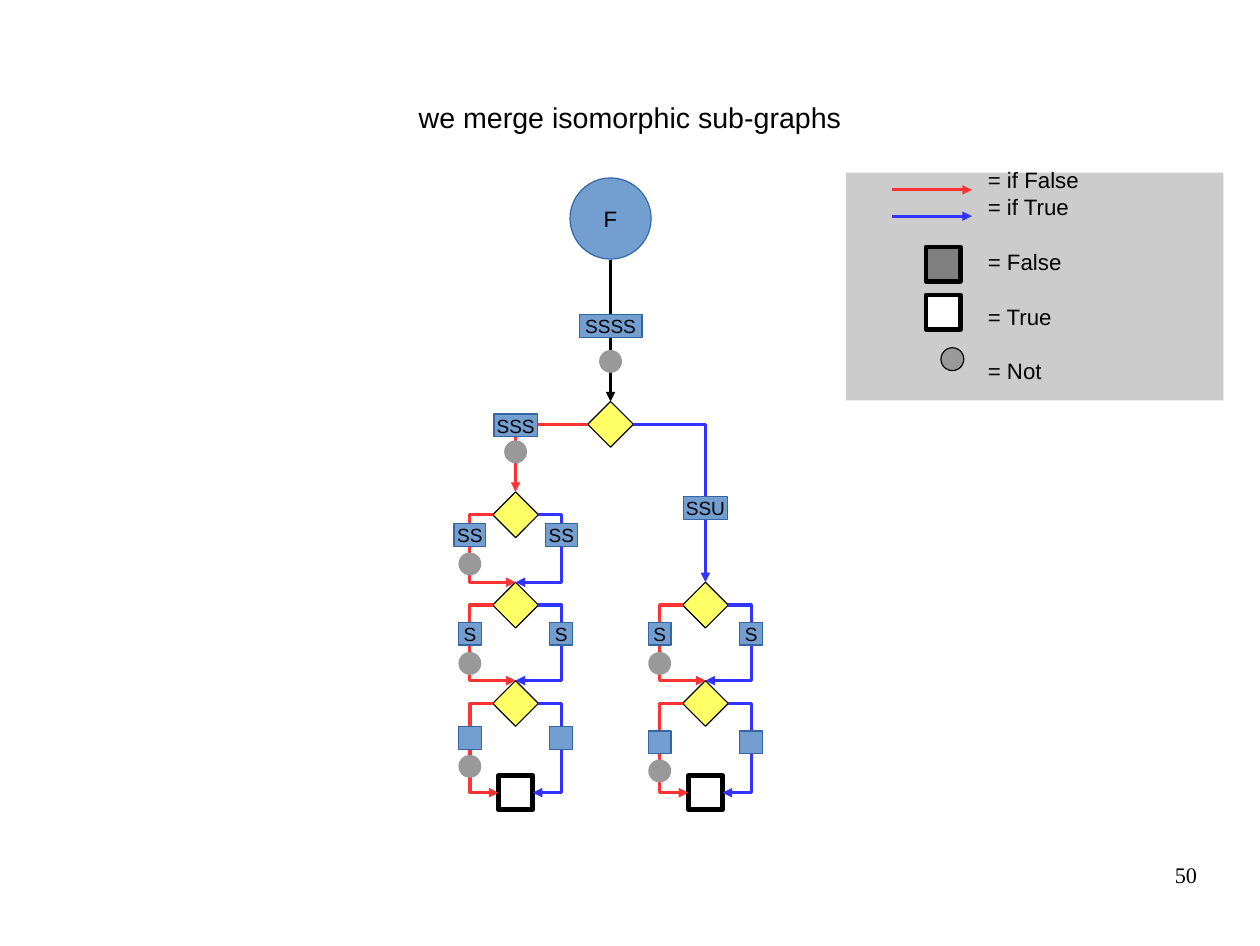
import dataclasses
import typing

import lxml.etree
import pptx
import pptx.dml.color
import pptx.enum.shapes
import pptx.enum.text
import pptx.oxml.ns
import pptx.util

RGB = pptx.dml.color.RGBColor
KIND = pptx.enum.shapes.MSO_SHAPE
WIRE = pptx.enum.shapes.MSO_CONNECTOR
ALIGN = pptx.enum.text.PP_ALIGN
ANCHOR = pptx.enum.text.MSO_ANCHOR
qn = pptx.oxml.ns.qn

BLACK = RGB(0x00, 0x00, 0x00)
WHITE = RGB(0xFF, 0xFF, 0xFF)
RED = RGB(0xFF, 0x33, 0x33)
BLUE = RGB(0x33, 0x33, 0xFF)
STEEL = RGB(0x72, 0x9F, 0xCF)
NAVY = RGB(0x34, 0x65, 0xA4)
YELLOW = RGB(0xFF, 0xFF, 0x66)
GRAY = RGB(0x99, 0x99, 0x99)
DARK = RGB(0x80, 0x80, 0x80)
PALE = RGB(0xCC, 0xCC, 0xCC)

# The grid has square cells, ten to the inch
CELL = 0.1
ROOT, LEFT, RIGHT = 53.4, 45.1, 61.7  # columns of the three stems
SIDE = 4  # from a stem to the side of a loop
HALF = 2  # from the middle of a diamond to its tip
BOX = 3
DOT = 2
WIDTHS = (2, 2, 2.8, 3.8, 5.5)  # tag width by label length


@dataclasses.dataclass
class Style:
    kind: KIND
    fill: RGB
    line: typing.Optional[RGB] = BLACK
    weight: float = 0


@dataclasses.dataclass
class Loop:
    col: float
    top: float
    foot: float
    label: str
    tag: float
    dot: float
    last: bool = False


ROUND = Style(KIND.OVAL, STEEL, NAVY)
TAG = Style(KIND.RECTANGLE, STEEL, NAVY)
TEST = Style(KIND.DIAMOND, YELLOW)
NOT = Style(KIND.OVAL, GRAY, None)
KEY_NOT = Style(KIND.OVAL, GRAY)
TRUE = Style(KIND.RECTANGLE, WHITE, BLACK, 3)
FALSE = Style(KIND.RECTANGLE, DARK, BLACK, 3)
PANEL = Style(KIND.RECTANGLE, PALE, None)

LOOPS = [
    Loop(LEFT, 45, 50.9, "SS", 46.8, 49.3),
    Loop(LEFT, 52.9, 59.5, "S", 55.4, 58),
    Loop(LEFT, 61.5, 69.3, "", 64.5, 67, True),
    Loop(RIGHT, 52.9, 59.5, "S", 55.4, 58),
    Loop(RIGHT, 61.5, 69.3, "", 64.9, 67.4, True),
]
# Legend text and the space before each line
KEYS = [("= if False", 0), ("= if True", 0.75), ("= False", 17.6),
        ("= True", 17.6), ("= Not", 17.6)]

deck = pptx.Presentation()
deck.slide_width = pptx.util.Inches(11.02)
deck.slide_height = pptx.util.Inches(8.27)
slide = deck.slides.add_slide(deck.slide_layouts[5])


def grid(cells: float) -> int:
    return pptx.util.Inches(cells * CELL)


def write(par, text: str, size: float, align: ALIGN, face: str = "Arial") -> None:
    par.text = text
    par.alignment = align
    par.font.size = pptx.util.Pt(size)
    par.font.name = face
    par.font.color.rgb = BLACK


def inset(frame, left: float = 0, base: float = 0) -> None:
    frame.margin_top = frame.margin_right = 0
    frame.margin_left, frame.margin_bottom = grid(left), grid(base)
    frame.word_wrap = True


def node(style: Style, x: float, y: float, wide: float, high: float,
         text: str = "", size: float = 12):
    """Draw a shape around its middle point."""
    shape = slide.shapes.add_shape(style.kind, grid(x - wide / 2),
                                   grid(y - high / 2), grid(wide), grid(high))
    shape.shadow.inherit = False
    shape.fill.solid()
    shape.fill.fore_color.rgb = style.fill
    if style.line is None:
        shape.line.fill.background()
    else:
        shape.line.color.rgb = style.line
        shape.line.width = pptx.util.Pt(style.weight)
    if text:
        frame = shape.text_frame
        frame.word_wrap = False
        frame.vertical_anchor = ANCHOR.MIDDLE
        write(frame.paragraphs[0], text, size, ALIGN.CENTER)
    return shape


def tag(x: float, y: float, text: str) -> None:
    node(TAG, x, y, WIDTHS[len(text)], 2, text)


def arrow(color: RGB, x: float, y: float, to_x: float, to_y: float,
          form: WIRE = WIRE.STRAIGHT):
    link = slide.shapes.add_connector(form, grid(x), grid(y), grid(to_x), grid(to_y))
    link.line.color.rgb = color
    link.line.width = pptx.util.Pt(0)
    props = link._element.spPr
    lxml.etree.SubElement(props.find(qn("a:ln")), qn("a:tailEnd"), type="triangle")
    lxml.etree.SubElement(props, qn("a:effectLst"))
    return link


def corner(color: RGB, x: float, y: float, to_x: float, to_y: float) -> None:
    """Run level, then turn once."""
    link = arrow(color, x, y, to_x, to_y, WIRE.ELBOW)
    link._element.spPr.find(qn("a:prstGeom")).set("prst", "bentConnector2")


def bend(color: RGB, x: float, y: float, to_x: float, to_y: float, via: float) -> None:
    """Run out to the column via, down, and back."""
    link = arrow(color, x, y, to_x, to_y, WIRE.ELBOW)
    share = round((via - x) / (to_x - x) * 100000)
    guides = link._element.spPr.find(qn("a:prstGeom")).get_or_add_avLst()
    lxml.etree.SubElement(guides, qn("a:gd"), name="adj1", fmla=f"val {share}")


# Title
title = slide.shapes.title
title.left, title.top, title.width, title.height = map(grid, (5.5, 3.3, 99.2, 13.8))
inset(title.text_frame)
title.text_frame.vertical_anchor = ANCHOR.MIDDLE
write(title.text_frame.paragraphs[0], "we merge isomorphic sub-graphs", 18, ALIGN.CENTER)

# Nodes
node(ROUND, ROOT, 19.1, 7.1, 7.1, "F", 14)
first = node(TEST, ROOT, 37.1, 2 * HALF, 2 * HALF)
for loop in LOOPS:
    node(TEST, loop.col, loop.top, 2 * HALF, 2 * HALF)
    if loop.last:
        node(TRUE, loop.col, loop.foot, BOX, BOX)

# Stem and first branches
stem = arrow(BLACK, ROOT, 22.7, ROOT, 35.1)
stem.end_connect(first, 0)
corner(RED, ROOT - HALF, 37.1, LEFT, 43)
corner(BLUE, ROOT + HALF, 37.1, RIGHT, 50.9)
for x, y, label in [(ROOT, 28.5, "SSSS"), (LEFT, 37.2, "SSS"), (RIGHT, 44.4, "SSU")]:
    tag(x, y, label)
for x, y in [(ROOT, 31.6), (LEFT, 39.5)]:
    node(NOT, x, y, DOT, DOT)

# Loops, red on the left and blue on the right
for loop in LOOPS:
    for sign, color in [(-1, RED), (1, BLUE)]:
        side = loop.col + sign * SIDE
        goal = loop.col + sign * BOX / 2 * loop.last
        bend(color, loop.col + sign * HALF, loop.top, goal, loop.foot, side)
        tag(side, loop.tag, loop.label)
    node(NOT, loop.col - SIDE, loop.dot, DOT, DOT)

# Legend
frame = node(PANEL, 90.5, 25.05, 33, 19.9).text_frame
inset(frame, 12.4, 2)
frame.vertical_anchor = ANCHOR.MIDDLE
for rank, (text, gap) in enumerate(KEYS):
    par = frame.add_paragraph() if rank else frame.paragraphs[0]
    write(par, text, 14, ALIGN.LEFT)
    if gap:
        par.space_before = pptx.util.Pt(gap)
for color, y in [(RED, 16.6), (BLUE, 18.9)]:
    arrow(color, 78, y, 85, y)
for style, y in [(FALSE, 23.1), (TRUE, 27.3)]:
    node(style, 82.5, y, BOX, BOX)
node(KEY_NOT, 83.3, 31.4, DOT, DOT)

# Page number
page = slide.shapes.add_textbox(*map(grid, (79, 75.3, 25.7, 5.7))).text_frame
inset(page)
write(page.paragraphs[0], "50", 14, ALIGN.RIGHT, "Times New Roman")

deck.save("out.pptx")
